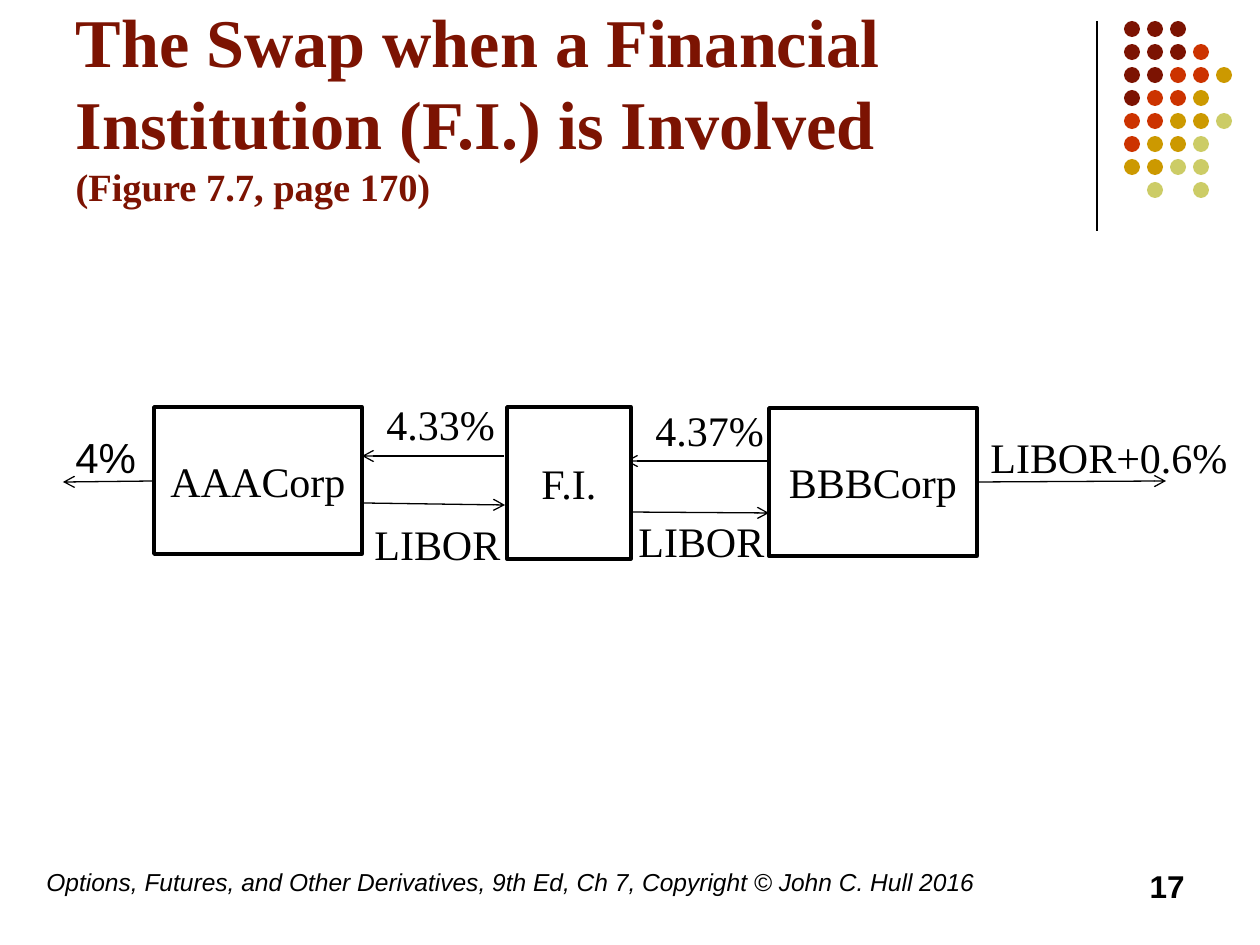
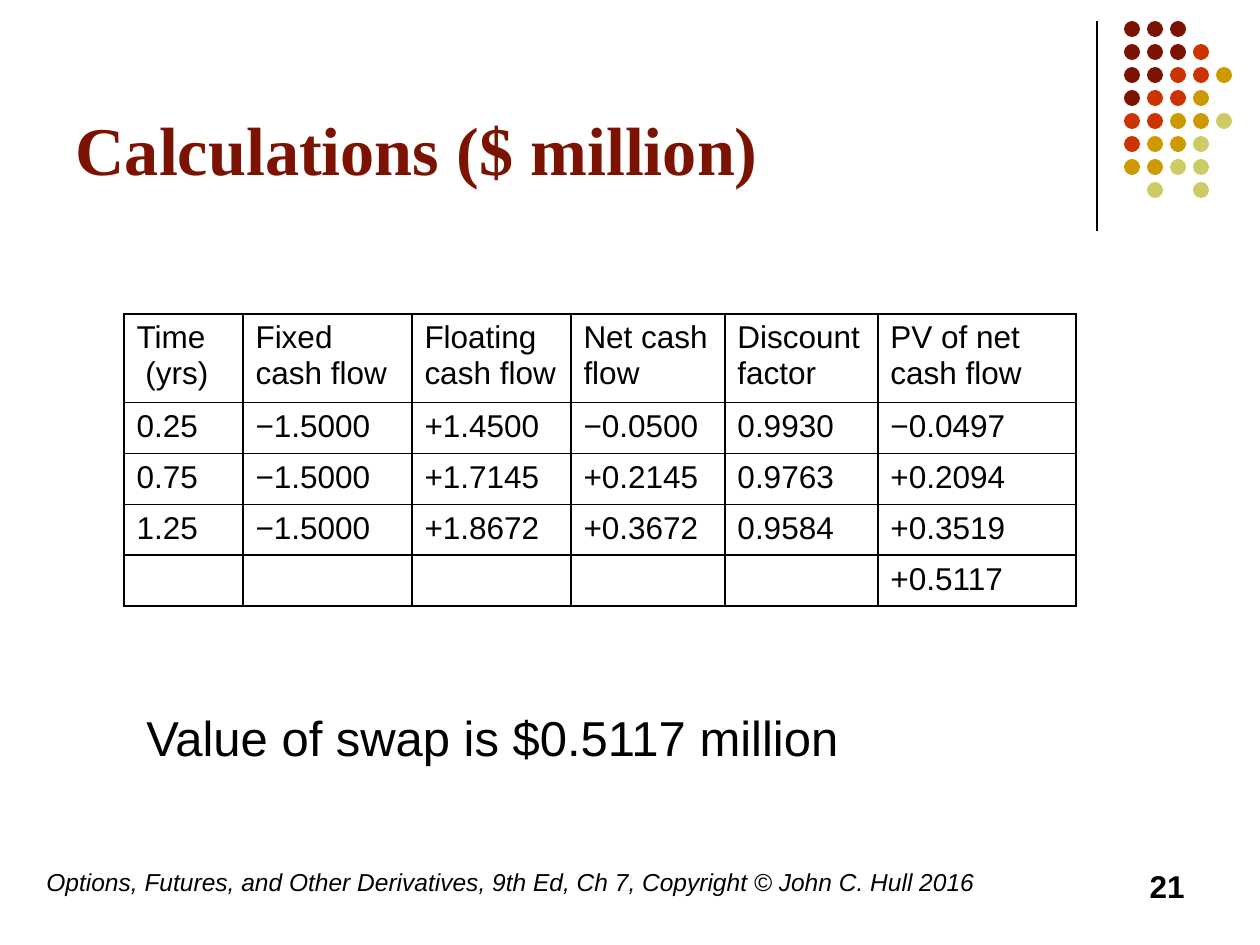
from lxml.etree import SubElement
from pptx import Presentation
from pptx.dml.color import RGBColor
from pptx.enum.shapes import MSO_CONNECTOR, MSO_SHAPE
from pptx.enum.text import MSO_ANCHOR, MSO_AUTO_SIZE, PP_ALIGN
from pptx.oxml.ns import qn
from pptx.util import Inches, Pt

PX = Inches(1) / 126
COLORS = {"maroon": "7C1302", "red": "CC3300", "gold": "CC9900",
          "lime": "CCCC66", "black": "000000", "white": "FFFFFF"}
SERIF, SANS = "Times New Roman", "Arial"
DOT_ROWS = ["MMM", "MMMR", "MMRRG", "MRRG", "RRGGL", "RGGL", "GGLL", " L L"]
DOT_COLORS = {"M": "maroon", "R": "red", "G": "gold", "L": "lime"}
FOOTER = ("Options, Futures, and Other Derivatives, 9th Ed, Ch 7, "
          "Copyright © John C. Hull 2016")
CASH_FLOWS = [
    ["Time\n (yrs)", "Fixed cash flow", "Floating cash flow",
     "Net cash flow", "Discount factor", "PV of net cash flow"],
    ["0.25", "−1.5000", "+1.4500", "−0.0500", "0.9930", "−0.0497"],
    ["0.75", "−1.5000", "+1.7145", "+0.2145", "0.9763", "+0.2094"],
    ["1.25", "−1.5000", "+1.8672", "+0.3672", "0.9584", "+0.3519"],
    ["", "", "", "", "", "+0.5117"],
]


def emu(*lengths):
    """Turn px lengths into EMU."""
    return [round(length * PX) for length in lengths]


def color(name):
    """Look up a named colour."""
    return RGBColor.from_string(COLORS[name])


def paint(shape, name):
    """Give a shape a plain fill without shadow."""
    shape.shadow.inherit = False
    shape.fill.solid()
    shape.fill.fore_color.rgb = color(name)


def style(paragraph, size, name=SANS, ink="black", bold=False, italic=False):
    """Set the font of a whole paragraph."""
    font = paragraph.font
    font.size, font.name, font.bold, font.italic = Pt(size), name, bold, italic
    font.color.rgb = color(ink)


def add_text(slide, box, text, size, align=PP_ALIGN.LEFT, **font):
    """Add a wrapped one-paragraph text box."""
    frame = slide.shapes.add_textbox(*emu(*box)).text_frame
    frame.word_wrap = True
    paragraph = frame.paragraphs[0]
    paragraph.text = text
    paragraph.alignment = align
    style(paragraph, size, **font)


def add_line(slide, start, end, arrow=False):
    """Draw a thin black line, with an optional arrowhead at its end."""
    line = slide.shapes.add_connector(MSO_CONNECTOR.STRAIGHT, *emu(*start, *end))
    line.line.width = Pt(0.75)
    line.line.color.rgb = color("black")
    if arrow:
        SubElement(line.line._get_or_add_ln(), qn("a:tailEnd"), type="arrow")
    SubElement(line._element.spPr, qn("a:effectLst"))


def add_dots(slide, left, top, pitch=23, size=16):
    """Draw the coloured dot pattern as one group."""
    group = slide.shapes.add_group_shape()
    for row, letters in enumerate(DOT_ROWS):
        for column, letter in enumerate(letters):
            if letter in DOT_COLORS:
                box = emu(left + column * pitch, top + row * pitch, size, size)
                dot = group.shapes.add_shape(MSO_SHAPE.OVAL, *box)
                paint(dot, DOT_COLORS[letter])
                dot.line.fill.background()


def add_title(slide, box, text, note=None):
    """Place the title, with an optional smaller line below it."""
    title = slide.shapes.title
    title.left, title.top, title.width, title.height = emu(*box)
    frame = title.text_frame
    frame.auto_size = MSO_AUTO_SIZE.NONE
    frame.vertical_anchor = MSO_ANCHOR.BOTTOM
    paragraph = frame.paragraphs[0]
    paragraph.alignment = PP_ALIGN.LEFT
    style(paragraph, 39, SERIF, "maroon", bold=True)
    paragraph.add_run().text = text
    if note:
        paragraph.add_line_break()
        run = paragraph.add_run()
        run.text = note
        run.font.size = Pt(22)


def add_base_slide(presentation, number):
    """Add a slide with the rule, dots, footer and page number."""
    slide = presentation.slides.add_slide(presentation.slide_layouts[5])
    add_line(slide, (1097, 21), (1097, 231))
    add_dots(slide, 1124, 21)
    add_text(slide, (34, 861, 1042, 63), FOOTER, 14, italic=True)
    add_text(slide, (903, 861, 294, 63), str(number), 18, PP_ALIGN.RIGHT, bold=True)
    return slide


def add_party(slide, box, name):
    """Draw the box of one party to the swap."""
    party = slide.shapes.add_shape(MSO_SHAPE.RECTANGLE, *emu(*box))
    paint(party, "white")
    party.line.color.rgb = color("black")
    party.line.width = Pt(2)
    frame = party.text_frame
    frame.word_wrap = True
    frame.vertical_anchor = MSO_ANCHOR.MIDDLE
    paragraph = frame.paragraphs[0]
    paragraph.text = name
    paragraph.alignment = PP_ALIGN.CENTER
    style(paragraph, 24, SERIF)


def add_swap_diagram(slide, left, top):
    """Draw the three parties and the payments between them."""
    parties = [("AAACorp", 91, 15, 208, 147), ("BBBCorp", 706, 16, 208, 148),
               ("F.I.", 444, 15, 124, 152)]
    payments = [
        ("4%", (0, 33, 103), (91, 89), (0, 90), SANS),
        ("4.33%", (311, 0, 151), (441, 64), (299, 64), SERIF),
        ("LIBOR", (299, 120, 170), (299, 111), (442, 113), SERIF),
        ("4.37%", (580, 6, 151), (706, 69), (563, 69), SERIF),
        ("LIBOR", (563, 117, 170), (563, 120), (706, 121), SERIF),
        ("LIBOR+0.6%", (915, 33, 268), (915, 90), (1103, 89), SERIF),
    ]
    for name, x, y, width, height in parties[:2]:
        add_party(slide, (left + x, top + y, width, height), name)
    for label, (x, y, width), start, end, font in payments:
        add_line(slide, (left + start[0], top + start[1]),
                 (left + end[0], top + end[1]), arrow=True)
        add_text(slide, (left + x, top + y, width, 64), label, 24, name=font)
    name, x, y, width, height = parties[2]
    add_party(slide, (left + x, top + y, width, height), name)


def add_borders(cell):
    """Rule all four sides of a cell in black."""
    properties = cell._tc.get_or_add_tcPr()
    for index, side in enumerate(("lnL", "lnR", "lnT", "lnB")):
        line = properties.makeelement(qn(f"a:{side}"), {"w": str(Pt(1))})
        fill = SubElement(line, qn("a:solidFill"))
        SubElement(fill, qn("a:srgbClr"), val=COLORS["black"])
        properties.insert(index, line)


def add_cash_flow_table(slide, left, top):
    """Add the ruled table of cash flows."""
    widths, heights = [119, 169, 159, 154, 153, 198], [88] + [51] * 4
    table = slide.shapes.add_table(
        len(heights), len(widths),
        *emu(left, top, sum(widths), sum(heights))).table
    table.first_row = table.horz_banding = False
    for column, width in zip(table.columns, emu(*widths)):
        column.width = width
    for row, height, texts in zip(table.rows, emu(*heights), CASH_FLOWS):
        row.height = height
        for cell, text in zip(row.cells, texts):
            cell.text = text
            cell.fill.solid()
            cell.fill.fore_color.rgb = color("white")
            add_borders(cell)
            for paragraph in cell.text_frame.paragraphs:
                style(paragraph, 18)


def build_swap_slide(presentation):
    """Build the slide with the intermediated swap."""
    slide = add_base_slide(presentation, 17)
    add_title(slide, (63, 37, 1040, 179),
              "The Swap when a Financial Institution (F.I.) is Involved ",
              "(Figure 7.7, page 170)")
    add_swap_diagram(slide, 63, 392)


def build_calculation_slide(presentation):
    """Build the slide with the valuation table."""
    slide = add_base_slide(presentation, 21)
    add_title(slide, (63, 16, 1040, 179), "Calculations ($ million)")
    add_cash_flow_table(slide, 124, 314)
    add_text(slide, (134, 701, 774, 72), "Value of swap is $0.5117 million", 28)


def main():
    """Build and save the presentation."""
    presentation = Presentation()
    presentation.slide_width, presentation.slide_height = Inches(10), Inches(7.5)
    build_swap_slide(presentation)
    build_calculation_slide(presentation)
    presentation.save("out.pptx")


if __name__ == "__main__":
    main()
